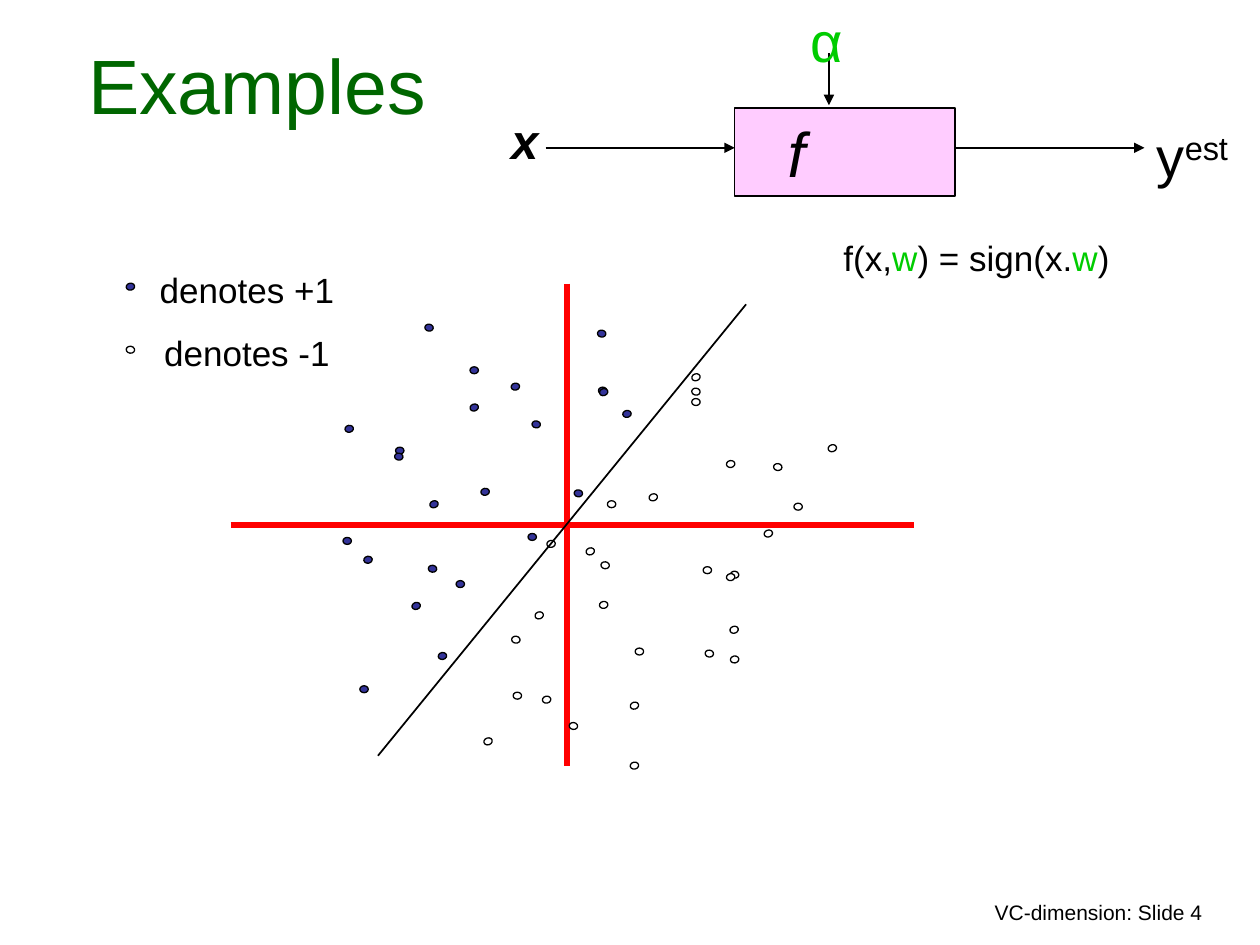
from lxml import etree
from pptx import Presentation
from pptx.dml.color import RGBColor
from pptx.enum.shapes import MSO_CONNECTOR, MSO_SHAPE
from pptx.enum.text import MSO_ANCHOR, PP_ALIGN
from pptx.oxml.ns import qn
from pptx.util import Cm, Pt

LEFT, MID, RIGHT = PP_ALIGN.LEFT, PP_ALIGN.CENTER, PP_ALIGN.RIGHT
BASE, CENTRE = MSO_ANCHOR.BOTTOM, MSO_ANCHOR.MIDDLE
RECT, OVAL = MSO_SHAPE.RECTANGLE, MSO_SHAPE.OVAL
STRAIGHT = MSO_CONNECTOR.STRAIGHT

BLACK = RGBColor(0x00, 0x00, 0x00)
WHITE = RGBColor(0xFF, 0xFF, 0xFF)
FOREST = RGBColor(0x00, 0x66, 0x00)
GREEN = RGBColor(0x00, 0xCC, 0x00)
PINK = RGBColor(0xFF, 0xCC, 0xFF)
RED = RGBColor(0xFF, 0x00, 0x00)
NAVY = RGBColor(0x33, 0x33, 0x99)

DOT_W, DOT_H = 0.17, 0.14

DOTS = {
    (NAVY, 0): [
        (-2.15, 1.19), (-0.7, 0.24), (-4.43, 0.32), (0.72, -2.71),
        (-1.87, -3.12), (-4.09, 3.31), (-3.37, -1.5)],
    (WHITE, 0): [
        (4.66, -0.37), (-1, 3.44), (1.46, 2.55), (0.9, -0.42),
        (2.83, 0.91), (2.6, -2.48)],
    (NAVY, -18.6): [
        (-3.04, 1.63), (0.74, -2.68), (-1.87, -2.37), (-2.68, -0.42)],
    (WHITE, -18.6): [
        (-0.56, 1.82), (5.35, -1.55), (0.47, 0.53), (1.36, 3.64),
        (3.37, 2.11), (1.74, -0.56), (-1.59, 4.36), (4.06, 0.17),
        (2.6, -2.98)],
    (NAVY, 8.2): [
        (-0.62, -2.03), (0.23, -0.64), (-3.39, -1.38), (-2.71, 0.88),
        (0.7, -3.86), (-2.78, -3.98)],
    (WHITE, 8.2): [
        (0.13, 4.05), (3.38, 1), (0.77, 0.81), (4.25, -1.17),
        (2.6, -2.69), (-1.03, 2.31), (2.87, 2.59)],
    (NAVY, -10.4): [
        (-1.65, -0.67), (-4.01, 0.7), (-2.51, 2.64), (-1.04, -2.79),
        (-4.39, -1.94), (1.21, -2.24)],
    (WHITE, -10.4): [
        (1.36, 4.85), (-0.32, 0.38), (3.3, 1.05), (0.74, 1.61),
        (3.3, -1.23), (-0.41, 3.52), (3.38, 2.71)],
}


def say(frame, text, size=20, color=BLACK, bold=False, italic=False,
        raised=False, align=MID, gap=None):
    if gap is None:
        para = frame.paragraphs[-1]
    else:
        para = frame.add_paragraph()
        para.space_before = Pt(gap)
    para.alignment = align
    run = para.add_run()
    run.text = text
    font = run.font
    font.name, font.size = "Arial", Pt(size)
    font.bold, font.italic = bold, italic
    font.color.rgb = color
    if raised:
        run._r.get_or_add_rPr().set("baseline", "30000")


def label(slide, x, y, w, h):
    frame = slide.shapes.add_textbox(Cm(x), Cm(y), Cm(w), Cm(h)).text_frame
    frame.word_wrap = True
    return frame


def shape(slide, kind, x, y, w, h, fill, width):
    item = slide.shapes.add_shape(kind, Cm(x), Cm(y), Cm(w), Cm(h))
    item.shadow.inherit = False
    item.fill.solid()
    item.fill.fore_color.rgb = fill
    item.line.color.rgb = BLACK
    item.line.width = Pt(width)
    return item


def dot(slide, x, y, fill, tilt):
    item = shape(slide, OVAL, x - DOT_W / 2, y - DOT_H / 2,
                 DOT_W, DOT_H, fill, 0.75)
    item.rotation = tilt


def line(slide, x1, y1, x2, y2, color=BLACK, width=1, arrow=False):
    item = slide.shapes.add_connector(
        STRAIGHT, Cm(x1), Cm(y1), Cm(x2), Cm(y2))
    item.line.color.rgb = color
    item.line.width = Pt(width)
    if arrow:
        tail = etree.SubElement(item.line._get_or_add_ln(), qn("a:tailEnd"))
        tail.set("type", "triangle")
    etree.SubElement(item._element.spPr, qn("a:effectLst"))


def title(slide, x, y, w, h):
    head = slide.shapes.title
    head.left, head.top, head.width, head.height = Cm(x), Cm(y), Cm(w), Cm(h)
    head.text_frame.vertical_anchor = BASE
    say(head.text_frame, " Examples", size=44, color=FOREST)


def machine(slide, x, y, w, h):
    mid = y + 0.8
    box = shape(slide, RECT, x, y, w, h, PINK, 1)
    frame = box.text_frame
    frame.margin_left = Cm(1.07)
    frame.vertical_anchor = CENTRE
    say(frame, "f", size=36, italic=True, align=LEFT)

    line(slide, x - 3.81, mid, x, mid, arrow=True)
    line(slide, x + w, mid, x + w + 3.81, mid, arrow=True)
    line(slide, x + 1.9, y - 1.11, x + 1.9, y - 0.06, arrow=True)

    say(label(slide, x - 5.08, y - 0.07, 1.7, 1.45), "x",
        size=28, bold=True, italic=True)
    say(label(slide, x + 1.27, y - 2.18, 1.07, 1.63), "α",
        size=32, color=GREEN)
    out = label(slide, x + w + 3.81, y + 0.15, 2.33, 1.63)
    out.margin_right = 0
    say(out, "y", size=32, align=LEFT)
    say(out, "est", size=32, raised=True, align=LEFT)


def legend(slide, x, y, w, h):
    frame = label(slide, x, y, w, h)
    say(frame, "denotes +1")
    say(frame, "denotes -1", gap=12.5)
    dot(slide, x + 0.29, y + 0.5, NAVY, -10.4)
    dot(slide, x + 0.29, y + 1.77, WHITE, 8.2)


def formula(slide, x, y, w, h):
    frame = label(slide, x, y, w, h)
    for text, color in (("f(x,", BLACK), ("w", GREEN), (") = sign(x.", BLACK),
                        ("w", GREEN), (")", BLACK)):
        say(frame, text, color=color)


def plot(slide, x, y, w, h):
    zx, zy = x + 6.78, y + h / 2
    line(slide, zx, y, zx, y + h, color=RED, width=3)
    line(slide, x, zy, x + w, zy, color=RED, width=3)
    for (fill, tilt), spots in DOTS.items():
        for dx, dy in spots:
            dot(slide, zx + dx, zy + dy, fill, tilt)
    line(slide, zx - 3.81, zy + 4.65, zx + 3.61, zy - 4.45)


def footer(slide, x, y, w, h):
    say(label(slide, x, y, w, h), "VC-dimension: Slide 4",
        size=12, align=RIGHT)


def main():
    deck = Presentation()
    deck.slide_width, deck.slide_height = Cm(25.4), Cm(19.05)
    slide = deck.slides.add_slide(deck.slide_layouts[5])
    footer(slide, 14.53, 18.01, 9.96, 0.76)
    title(slide, 0.43, 0.84, 9.09, 1.9)
    machine(slide, 14.81, 2.18, 4.45, 1.78)
    legend(slide, 2.34, 5.28, 5.28, 2.39)
    plot(slide, 4.65, 5.72, 13.77, 9.73)
    formula(slide, 15.24, 4.65, 8.89, 1.12)
    deck.save("out.pptx")


if __name__ == "__main__":
    main()
